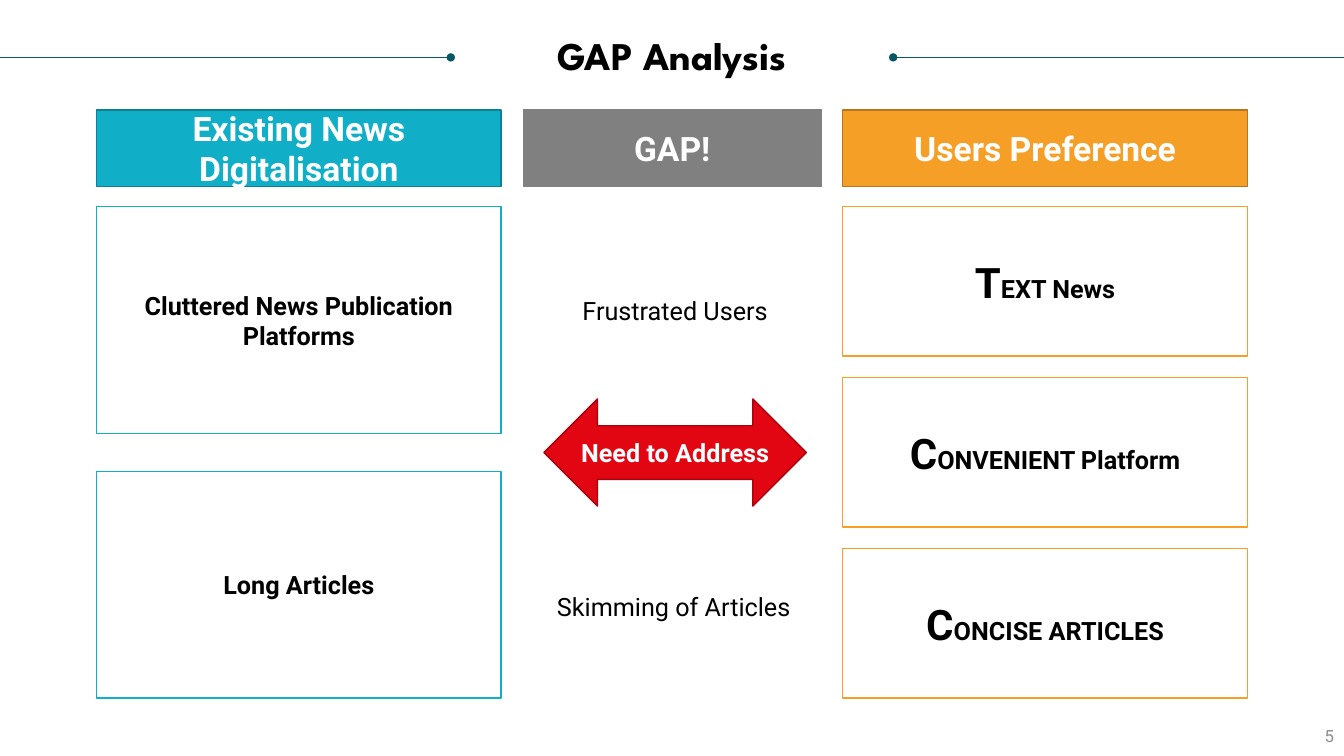
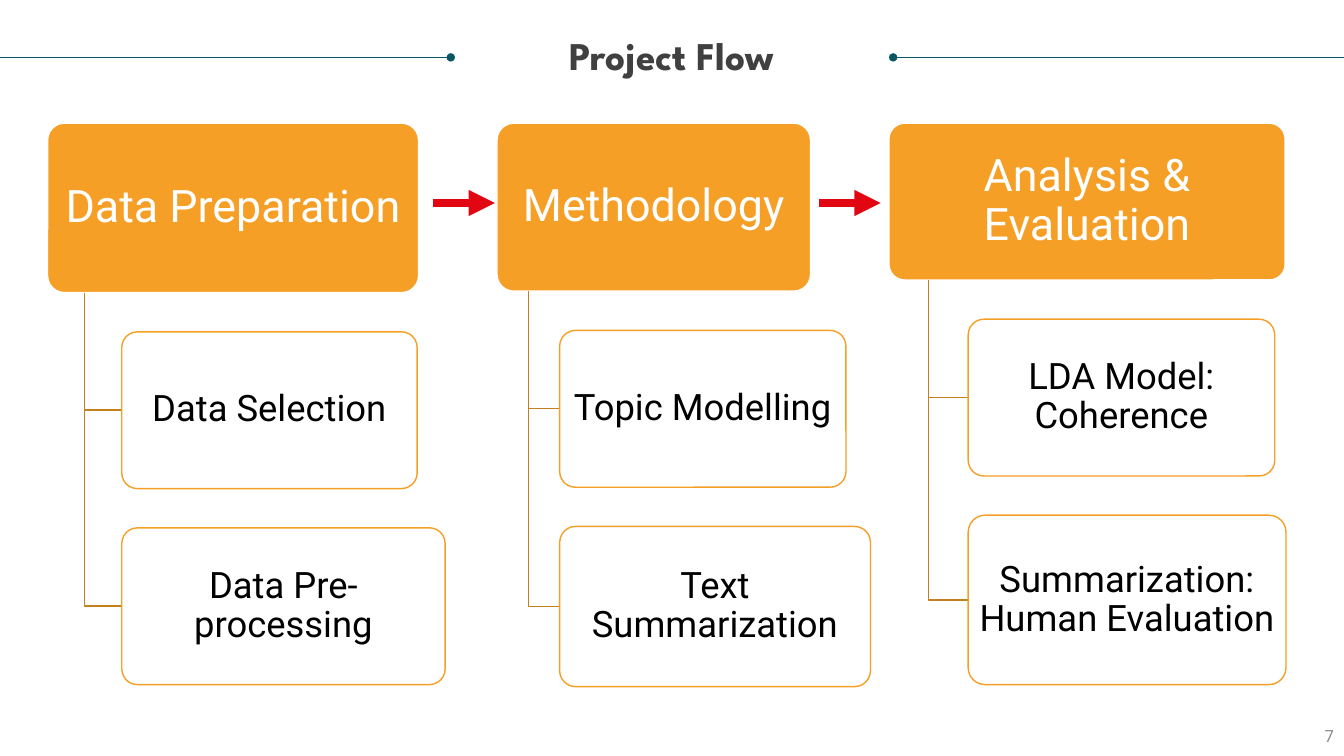
from dataclasses import dataclass

from lxml.etree import SubElement
from pptx import Presentation
from pptx.dml.color import RGBColor as RGB
from pptx.enum.shapes import MSO_CONNECTOR as LINK, MSO_SHAPE as SHAPE
from pptx.enum.text import MSO_ANCHOR as ANCHOR, MSO_AUTO_SIZE as FIT, PP_ALIGN as ALIGN
from pptx.oxml.ns import qn
from pptx.util import Pt

WHITE = RGB(0xFF, 0xFF, 0xFF)
BLACK = RGB(0x00, 0x00, 0x00)
DARK = RGB(0x40, 0x40, 0x40)
GRAY = RGB(0x80, 0x80, 0x80)
PALE = RGB(0x8C, 0x8C, 0x8C)
TEAL = RGB(0x08, 0x57, 0x64)
BLUE = RGB(0x11, 0xAE, 0xC7)
NAVY = RGB(0x0D, 0x81, 0x93)
GOLD = RGB(0xF5, 0x9F, 0x26)
BROWN = RGB(0xB5, 0x76, 0x1C)
TAN = RGB(0xC4, 0x7F, 0x1E)
RED = RGB(0xE2, 0x06, 0x13)
WINE = RGB(0xA7, 0x04, 0x0E)

FONT, TITLE_FONT = "Roboto", "League Spartan"
WIDE, HIGH = 960, 540


@dataclass(frozen=True)
class Box:
    x: float
    y: float
    w: float
    h: float

    def points(self) -> list[Pt]:
        return [Pt(v) for v in (self.x, self.y, self.w, self.h)]


@dataclass(frozen=True)
class Style:
    size: float
    color: RGB = BLACK
    bold: bool = False
    font: str = FONT
    align: ALIGN = ALIGN.CENTER
    space: float = 1.0


@dataclass(frozen=True)
class Column:
    x: float
    head: str
    fill: RGB
    edge: RGB
    gap: float
    cells: tuple[str, ...]
    cap: float = 0


@dataclass(frozen=True)
class Card:
    text: str
    w: float
    h: float


@dataclass(frozen=True)
class Branch:
    x: float
    head: Card
    cards: tuple[Card, ...]


HEAD = Style(24, WHITE, True)
CELL = Style(18, bold=True)
NOTE = Style(18)
STEP = Style(32, WHITE, space=0.9)
TASK = Style(26, space=0.9)

COLUMNS = (
    Column(69, "Existing News Digitalisation", BLUE, NAVY, 27,
           ("Cluttered News Publication Platforms", "Long Articles")),
    Column(602, "Users Preference", GOLD, BROWN, 15.5,
           ("TEXT News", "CONVENIENT Platform", "CONCISE ARTICLES"), 30),
)
BRANCHES = (
    Branch(34, Card("Data Preparation", 265, 121),
           (Card("Data Selection", 211, 112), Card("Data Pre-processing", 231, 112))),
    Branch(355, Card("Methodology", 224, 120),
           (Card("Topic Modelling", 204.5, 112), Card("Text Summarization", 222, 114.5))),
    Branch(635, Card("Analysis &\vEvaluation", 283, 112),
           (Card("LDA Model: Coherence", 219, 112),
            Card("Summarization: Human Evaluation", 227, 121))),
)


def write(shape, text: str, style: Style, cap: float = 0) -> None:
    """Set one paragraph; a cap size enlarges its first letter."""
    frame = shape.text_frame
    frame.word_wrap = True
    para = frame.paragraphs[0]
    para.text = text[0] if cap else text
    if cap:
        para.add_run().text = text[1:]
    para.alignment, para.line_spacing = style.align, style.space
    for run in para.runs:
        font = run.font
        font.name, font.size, font.bold = style.font, Pt(style.size), style.bold
        font.color.rgb = style.color
    if cap:
        para.runs[0].font.size = Pt(cap)


def pad(shape, side: float, end: float) -> None:
    frame = shape.text_frame
    frame.margin_left = frame.margin_right = Pt(side)
    frame.margin_top = frame.margin_bottom = Pt(end)


def block(slide, kind: SHAPE, box: Box, fill: RGB, edge: RGB, width: float = 1):
    shape = slide.shapes.add_shape(kind, *box.points())
    shape.shadow.inherit = False
    shape.fill.solid()
    shape.fill.fore_color.rgb = fill
    shape.line.color.rgb = edge
    shape.line.width = Pt(width)
    return shape


def label(slide, box: Box, text: str, style: Style) -> None:
    shape = slide.shapes.add_textbox(*box.points())
    shape.text_frame.vertical_anchor = ANCHOR.MIDDLE
    write(shape, text, style)


def rule(slide, left: float, right: float, y: float, color: RGB,
         width: float, end: str, mark: str) -> None:
    """Draw a level line with a mark at its headEnd or tailEnd."""
    line = slide.shapes.add_connector(LINK.STRAIGHT, Pt(left), Pt(y), Pt(right), Pt(y))
    line.line.color.rgb = color
    line.line.width = Pt(width)
    props = line.element.spPr
    SubElement(props.find(qn("a:ln")), qn(f"a:{end}"), type=mark)
    SubElement(props, qn("a:effectLst"))


def elbow(slide, x: float, top: float, right: float, y: float) -> None:
    path = slide.shapes.build_freeform(Pt(x), Pt(top))
    path.add_line_segments([(Pt(x), Pt(y)), (Pt(right), Pt(y))], close=False)
    shape = path.convert_to_shape()
    shape.shadow.inherit = False
    shape.fill.background()
    shape.line.color.rgb = TAN
    shape.line.width = Pt(1)


def start(deck, text: str, color: RGB, page: str):
    """Add a slide with its title, side rules and page number."""
    slide = deck.slides.add_slide(deck.slide_layouts[5])
    title = slide.shapes.title
    title.left, title.top, title.width, title.height = Box(18, 26, 924, 30.5).points()
    write(title, text, Style(28, color, True, TITLE_FONT, space=0.9))
    pad(title, 0, 0)
    title.text_frame.auto_size = FIT.NONE
    title.text_frame.vertical_anchor = ANCHOR.TOP
    rule(slide, 0, 322, 41, TEAL, 0.5, "tailEnd", "oval")
    rule(slide, 638, WIDE, 41, TEAL, 0.5, "headEnd", "oval")
    label(slide, Box(744, 511, 216, 29), page, Style(12, PALE, align=ALIGN.RIGHT))
    return slide


def gap_slide(deck) -> None:
    slide = start(deck, "GAP Analysis", BLACK, "5")
    wide, top, span = 289, 147.6, 351
    for col in COLUMNS:
        head = block(slide, SHAPE.RECTANGLE, Box(col.x, 78.5, wide, 54.7), col.fill, col.edge)
        write(head, col.head, HEAD)
        count = len(col.cells)
        high = (span - col.gap * (count - 1)) / count
        for row, text in enumerate(col.cells):
            box = Box(col.x, top + row * (high + col.gap), wide, high)
            write(block(slide, SHAPE.RECTANGLE, box, WHITE, col.fill), text, CELL, col.cap)
    head = block(slide, SHAPE.RECTANGLE, Box(373.7, 78.5, 213, 54.7), GRAY, GRAY, 0.5)
    write(head, "GAP!", HEAD)
    arrow = block(slide, SHAPE.LEFT_RIGHT_ARROW, Box(388.5, 285, 187.5, 76.5), RED, WINE)
    write(arrow, "Need to Address", Style(18, WHITE, True))
    label(slide, Box(388.5, 207.5, 187.5, 29), "Frustrated Users", NOTE)
    label(slide, Box(387.5, 418.5, 187.5, 29), "Skimming of Articles", NOTE)


def round_card(slide, box: Box, text: str, fill: RGB, edge: RGB, style: Style, side: float) -> None:
    shape = block(slide, SHAPE.ROUNDED_RECTANGLE, box, fill, edge)
    shape.adjustments[0] = 0.1
    pad(shape, side, 3)
    write(shape, text, style)


def flow_slide(deck) -> None:
    slide = start(deck, "Project Flow", DARK, "7")
    top, gap = 88, 28
    for branch in BRANCHES:
        head = branch.head
        base = top + head.h
        stem, left = branch.x + 0.1 * head.w, branch.x + 0.2 * head.w
        round_card(slide, Box(branch.x, top, head.w, head.h), head.text, GOLD, WHITE, STEP, 5)
        y = base + gap
        for card in branch.cards:
            elbow(slide, stem, base, left, y + card.h / 2)
            round_card(slide, Box(left, y, card.w, card.h), card.text, WHITE, GOLD, TASK, 3)
            y += card.h + gap
    for left in (309.5, 585):
        rule(slide, left, left + 44, 145, RED, 6.25, "tailEnd", "triangle")


def main() -> None:
    deck = Presentation()
    deck.slide_width, deck.slide_height = Pt(WIDE), Pt(HIGH)
    gap_slide(deck)
    flow_slide(deck)
    deck.save("out.pptx")


if __name__ == "__main__":
    main()
